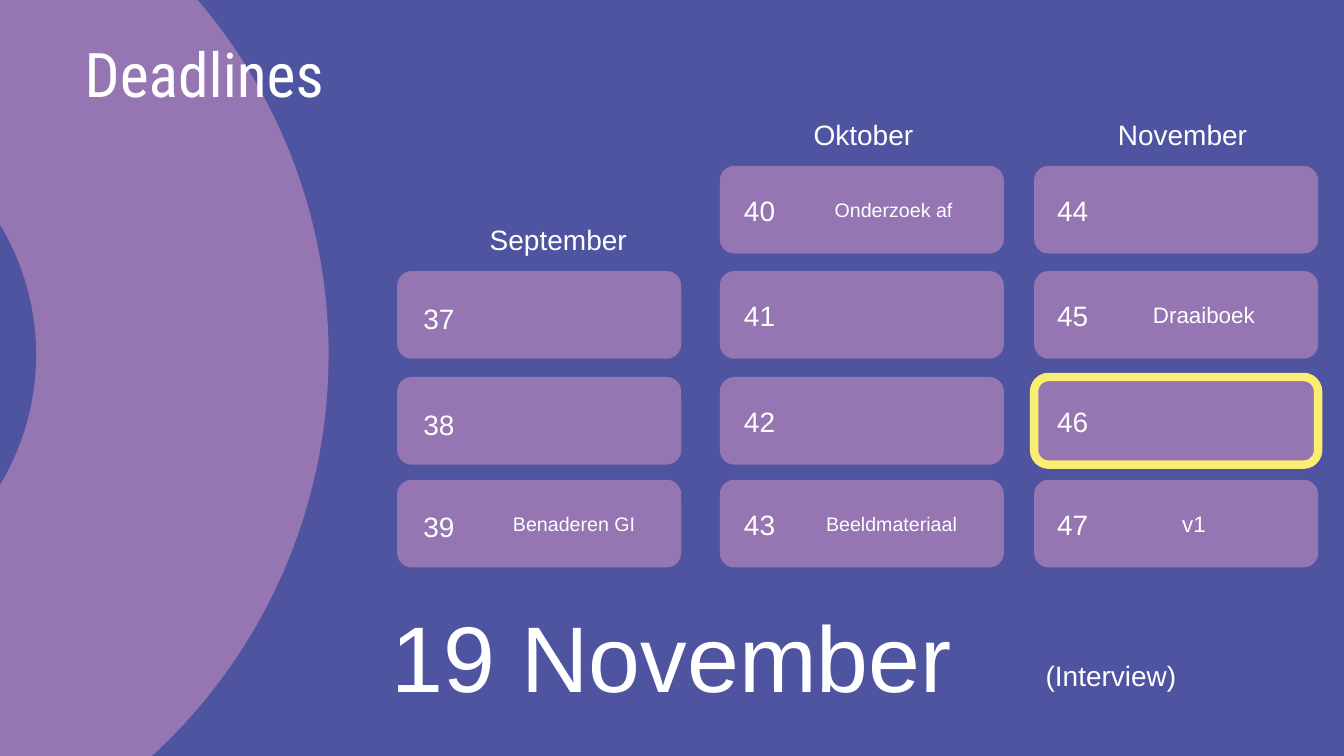
import dataclasses

import pptx
import pptx.dml.color
import pptx.enum.shapes
import pptx.enum.text
import pptx.util

Cm = pptx.util.Cm
Pt = pptx.util.Pt
ALIGN = pptx.enum.text.PP_ALIGN
ANCHOR = pptx.enum.text.MSO_ANCHOR
SHAPE = pptx.enum.shapes.MSO_SHAPE


@dataclasses.dataclass(frozen=True)
class Theme:
    background: str = "4E54A0"
    card: str = "9576B2"
    highlight: str = "FAEE72"
    text: str = "FFFFFF"
    title_font: str = "Roboto Condensed"
    body_font: str = "Arial"
    title_size: float = 44
    date_size: float = 66.6
    label_size: float = 20
    note_size: float = 16
    long_note_size: float = 14


@dataclasses.dataclass(frozen=True)
class Month:
    name: str
    weeks: range
    left: float
    first_row: int
    heading_inset: float
    heading_align: ALIGN
    week_inset: tuple


THEME = Theme()

# Calendar grid, in centimetres
ROW_TOPS = (4.18, 6.83, 9.5, 12.09)
CARD_WIDTH, CARD_HEIGHT = 7.16, 2.21
HEADING_RISE, HEADING_HEIGHT = 3.05, 4.6
LABEL_WIDTH, WEEK_HEIGHT = 4.8, 1.57
NOTE_DROP, NOTE_HEIGHT = 0.61, 1.07

MONTHS = (
    Month("September", range(37, 40), 10.01, 1, 1.24, ALIGN.RIGHT, (0.41, 0.45)),
    Month("Oktober", range(40, 44), 18.14, 0, 1.22, ALIGN.CENTER, (0.36, 0.38)),
    Month("November", range(44, 48), 26.06, 0, 1.34, ALIGN.CENTER, (0.33, 0.38)),
)
# Week: (text, distance from the card's left edge, size)
NOTES = {
    39: ("Benaderen GI", 2.06, THEME.long_note_size),
    40: ("Onderzoek af", 1.98, THEME.long_note_size),
    43: ("Beeldmateriaal", 1.93, THEME.long_note_size),
    45: ("Draaiboek", 1.88, THEME.note_size),
    47: ("v1", 1.63, THEME.note_size),
}
DEADLINE_WEEK = 46


def color(value):
    return pptx.dml.color.RGBColor.from_string(value)


def add_filled(slide, kind, left, top, width, height, fill, outline=None):
    figure = slide.shapes.add_shape(kind, Cm(left), Cm(top), Cm(width), Cm(height))
    figure.shadow.inherit = False
    figure.fill.solid()
    figure.fill.fore_color.rgb = color(fill)
    if outline:
        figure.line.color.rgb = color(outline)
        figure.line.width = Pt(6)
    else:
        figure.line.fill.background()


def set_text(frame, text, size, font, align, anchor, spacing=0.9, before=10):
    frame.word_wrap = True
    frame.auto_size = pptx.enum.text.MSO_AUTO_SIZE.NONE
    frame.vertical_anchor = anchor
    frame.text = text
    paragraph = frame.paragraphs[0]
    paragraph.alignment = align
    paragraph.line_spacing = spacing
    paragraph.space_before = Pt(before)
    letters = paragraph.runs[0].font
    letters.size = Pt(size)
    letters.name = font
    letters.color.rgb = color(THEME.text)


def add_label(slide, text, left, top, width, height, size=THEME.label_size,
              align=ALIGN.CENTER, anchor=ANCHOR.MIDDLE, spacing=0.9):
    label = slide.shapes.add_textbox(Cm(left), Cm(top), Cm(width), Cm(height))
    set_text(label.text_frame, text, size, THEME.body_font, align, anchor, spacing)


def add_title(slide, text):
    title = slide.shapes.title
    title.left, title.top = Cm(1.88), Cm(-0.1)
    title.width, title.height = Cm(25.4), Cm(4.11)
    set_text(title.text_frame, text, THEME.title_size, THEME.title_font,
             ALIGN.LEFT, ANCHOR.MIDDLE, before=0)


def add_week(slide, month, week, top):
    outline = THEME.highlight if week == DEADLINE_WEEK else None
    add_filled(slide, SHAPE.ROUNDED_RECTANGLE, month.left, top,
               CARD_WIDTH, CARD_HEIGHT, THEME.card, outline)
    across, down = month.week_inset
    add_label(slide, str(week), month.left + across, top + down,
              LABEL_WIDTH, WEEK_HEIGHT, align=ALIGN.LEFT)
    if week in NOTES:
        note, inset, size = NOTES[week]
        add_label(slide, note, month.left + inset, top + NOTE_DROP,
                  LABEL_WIDTH, NOTE_HEIGHT, size)


def add_month(slide, month):
    tops = ROW_TOPS[month.first_row:]
    add_label(slide, month.name, month.left + month.heading_inset,
              tops[0] - HEADING_RISE, LABEL_WIDTH, HEADING_HEIGHT,
              align=month.heading_align)
    for week, top in zip(month.weeks, tops):
        add_week(slide, month, week, top)


def main():
    deck = pptx.Presentation()
    deck.slide_width, deck.slide_height = Cm(33.87), Cm(19.05)
    slide = deck.slides.add_slide(deck.slide_layouts[5])
    slide.background.fill.solid()
    slide.background.fill.fore_color.rgb = color(THEME.background)

    # Ring at the left edge
    add_filled(slide, SHAPE.OVAL, -19.18, -4.8, 27.46, 27.46, THEME.card)
    add_filled(slide, SHAPE.OVAL, -11.79, 2.59, 12.7, 12.7, THEME.background)

    # Title, brought in front of the ring
    add_title(slide, "Deadlines")
    slide.shapes.element.append(slide.shapes.title.element)

    # Weeks by month
    for month in MONTHS:
        add_month(slide, month)

    # Final date
    add_label(slide, "19 November", 1.73, 15.52, 30.4, 2.77, THEME.date_size,
              anchor=ANCHOR.TOP, spacing=0.8)
    add_label(slide, "(Interview)", 24.9, 15.5, 5, 3.16, align=ALIGN.RIGHT)

    deck.save("out.pptx")


if __name__ == "__main__":
    main()
